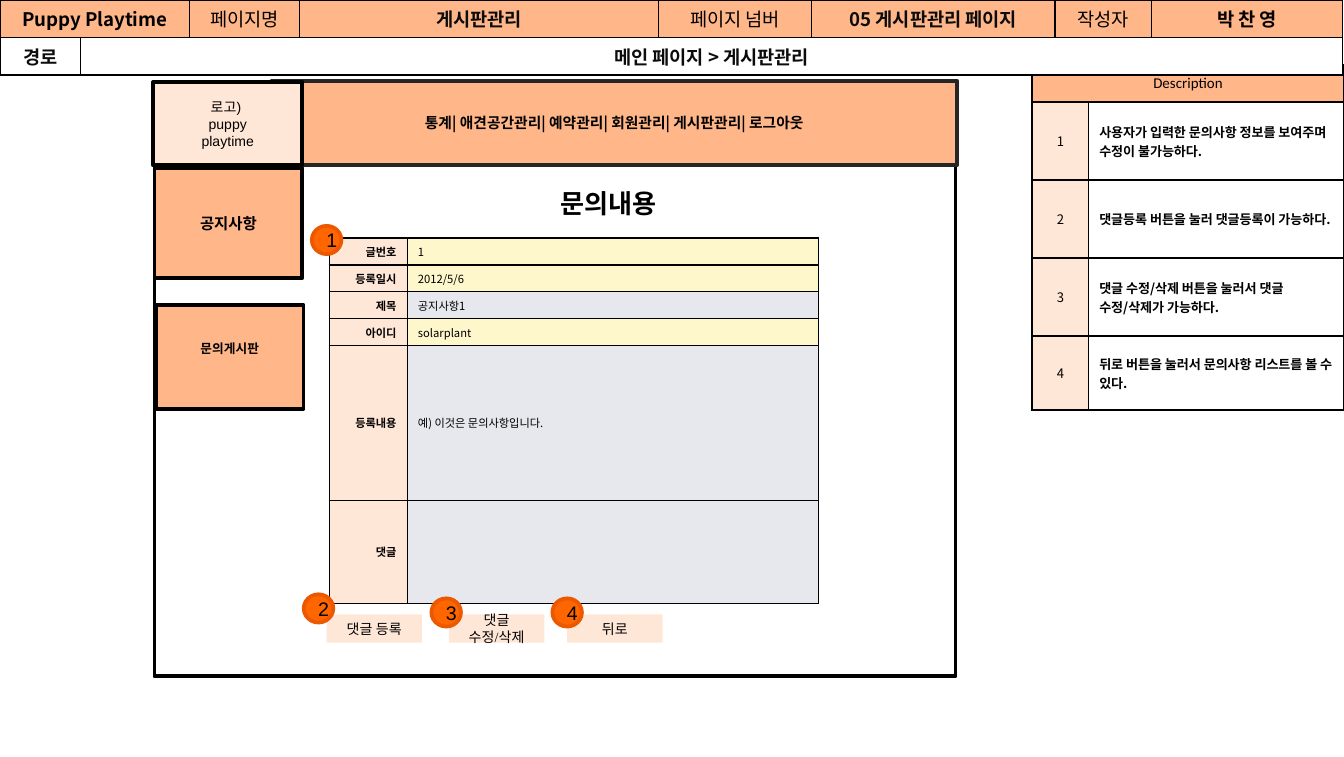
from dataclasses import dataclass
from typing import Optional

from lxml.etree import SubElement
from pptx import Presentation
from pptx.dml.color import RGBColor
from pptx.enum.shapes import MSO_SHAPE
from pptx.enum.text import MSO_ANCHOR, MSO_AUTO_SIZE, PP_ALIGN
from pptx.oxml.ns import qn
from pptx.util import Inches, Pt

COLORS = {
    "black": "000000", "ink": "0C0C0C", "charcoal": "262626", "white": "FFFFFF",
    "orange": "FFB689", "peach": "FFE7D8", "yellow": "FFF7CC", "gray": "E6E8EE",
    "badge": "FF6600", "badge_line": "EB5800",
}
KOREAN = "Noto Sans CJK KR"
LEFT, CENTER, RIGHT = PP_ALIGN.LEFT, PP_ALIGN.CENTER, PP_ALIGN.RIGHT
TOP, MIDDLE = MSO_ANCHOR.TOP, MSO_ANCHOR.MIDDLE


@dataclass
class Cell:
    """Content and look of one table cell."""
    text: str
    fill: str
    bold: bool = False
    align: PP_ALIGN = CENTER
    span: int = 1
    color: str = "black"
    anchor: MSO_ANCHOR = MIDDLE
    font: Optional[str] = None
    size: Optional[float] = None


@dataclass
class Box:
    """A preset shape with centred text."""
    box: tuple
    text: str = ""
    fill: str = "peach"
    line: Optional[str] = None
    size: float = 7.5
    font: str = "Times New Roman"
    bold: bool = False
    kind: MSO_SHAPE = MSO_SHAPE.RECTANGLE
    bottom: float = 0.04


def rgb(name: str) -> RGBColor:
    """Look up a named colour."""
    return RGBColor.from_string(COLORS[name])


def write_text(frame, text: str, *, font: str, size: float, bold: bool = False,
               align: PP_ALIGN = CENTER, color: str = "black") -> None:
    """Write text into a frame, one paragraph per line."""
    frame.text = text
    for paragraph in frame.paragraphs:
        paragraph.alignment = align
        for run in paragraph.runs:
            run.font.name, run.font.size, run.font.bold = font, Pt(size), bold
            run.font.color.rgb = rgb(color)


def add_borders(cell, width: float) -> None:
    """Draw black lines on all four sides of a cell."""
    properties = cell._tc.get_or_add_tcPr()
    for side in ("a:lnL", "a:lnR", "a:lnT", "a:lnB"):
        line = SubElement(properties, qn(side), w=str(Pt(width)))
        fill = SubElement(line, qn("a:solidFill"))
        SubElement(fill, qn("a:srgbClr"), val=COLORS["black"])


def add_grid(slide, left: float, top: float, columns: list, heights: list, rows: list, *,
             size: float, border: float, insets: tuple, font: str = KOREAN) -> None:
    """Add a bordered table from rows of cells."""
    table = slide.shapes.add_table(
        len(heights), len(columns), Inches(left), Inches(top),
        Inches(sum(columns)), Inches(sum(heights))).table
    table.first_row = table.horz_banding = False
    for column, width in zip(table.columns, columns):
        column.width = Inches(width)
    for row, height in zip(table.rows, heights):
        row.height = Inches(height)
    for cell in table.iter_cells():
        add_borders(cell, border)
    for row_index, row in enumerate(rows):
        column_index = 0
        for content in row:
            cell = table.cell(row_index, column_index)
            if content.span > 1:
                cell.merge(table.cell(row_index, column_index + content.span - 1))
            cell.fill.solid()
            cell.fill.fore_color.rgb = rgb(content.fill)
            cell.vertical_anchor = content.anchor
            cell.margin_left = cell.margin_right = Inches(insets[0])
            cell.margin_top = cell.margin_bottom = Inches(insets[1])
            write_text(cell.text_frame, content.text, font=content.font or font,
                       size=content.size or size, bold=content.bold,
                       align=content.align, color=content.color)
            column_index += content.span


def add_box(slide, item: Box) -> None:
    """Add one shape with its fill, line and text."""
    shape = slide.shapes.add_shape(item.kind, *map(Inches, item.box))
    shape.shadow.inherit = False
    shape.fill.solid()
    shape.fill.fore_color.rgb = rgb(item.fill)
    if item.line:
        shape.line.color.rgb = rgb(item.line)
        shape.line.width = Pt(2)
    else:
        shape.line.fill.background()
    if item.text:
        frame = shape.text_frame
        frame.word_wrap = True
        frame.vertical_anchor = MIDDLE
        frame.margin_left = frame.margin_right = Inches(0.08)
        frame.margin_top, frame.margin_bottom = Inches(0.04), Inches(item.bottom)
        write_text(frame, item.text, font=item.font, size=item.size, bold=item.bold)


def add_title(slide, text: str) -> None:
    """Place the title above the other shapes."""
    title = slide.shapes.title
    title.left, title.top, title.width, title.height = map(Inches, (4.07, 1.34, 0.99, 0.34))
    frame = title.text_frame
    write_text(frame, text, font="Calibri", size=14, bold=True, align=LEFT)
    frame.word_wrap = False
    frame.auto_size = MSO_AUTO_SIZE.SHAPE_TO_FIT_TEXT
    frame.vertical_anchor = TOP
    title.element.getparent().append(title.element)


DESCRIPTIONS = [
    "사용자가 입력한 문의사항 정보를 보여주며 수정이 불가능하다.",
    "댓글등록 버튼을 눌러 댓글등록이 가능하다.",
    "댓글 수정/삭제 버튼을 눌러서 댓글 수정/삭제가 가능하다.",
    "뒤로 버튼을 눌러서 문의사항 리스트를 볼 수 있다.",
]
LAYOUT_BOXES = [
    Box((1.15, 1.23, 5.96, 3.8), fill="white", line="black"),
    Box((1.16, 2.27, 1.1, 0.77), "문의게시판", "orange", "black", 6.8, "Arial", True,
        bottom=0.17),
    Box((1.15, 1.25, 1.1, 0.82), "공지사항", "orange", "black", 8.3, KOREAN, True),
    Box((2.02, 0.6, 5.1, 0.63),
        "통계| 애견공간관리| 예약관리| 회원관리| 게시판관리| 로그아웃",
        "orange", "charcoal", 7.9, KOREAN, True),
    Box((1.14, 0.61, 1.11, 0.62), "로고) \npuppy\nplaytime", line="black", font="Arial"),
]
FIELDS = [
    ("글번호", "1", "yellow"),
    ("등록일시", "2012/5/6", "yellow"),
    ("제목", "공지사항1", "gray"),
    ("아이디", "solarplant", "yellow"),
    ("등록내용", "예) 이것은 문의사항입니다.", "gray"),
    ("댓글", "", "gray"),
]
BUTTONS = [(2.43, "댓글 등록"), (3.34, "댓글 수정/삭제"), (4.22, "뒤로")]
BADGES = [(2.32, 1.68), (2.26, 4.42), (3.21, 4.45), (4.11, 4.45)]
HEADER = [
    [Cell("Puppy Playtime", "orange", True, span=2, anchor=TOP),
     Cell("페이지명", "orange", anchor=TOP),
     Cell("게시판관리", "orange", True, color="ink", anchor=TOP),
     Cell("페이지 넘버", "orange", anchor=TOP),
     Cell("05 게시판관리 페이지", "orange", True, color="ink", anchor=TOP),
     Cell("작성자", "orange", anchor=TOP),
     Cell("박 찬 영", "orange", True, anchor=TOP)],
    [Cell("경로", "white", True, color="ink"),
     Cell("메인 페이지 > 게시판관리", "white", True, span=7, color="ink")],
]


def main() -> None:
    """Build and save the slide."""
    presentation = Presentation()
    presentation.slide_width, presentation.slide_height = Inches(10), Inches(5.63)
    slide = presentation.slides.add_slide(presentation.slide_layouts[5])

    description_rows = [[Cell("Description", "orange", span=2, font="Calibri", size=8)]]
    description_rows += [
        [Cell(str(number), "peach"), Cell(text, "white", True, LEFT)]
        for number, text in enumerate(DESCRIPTIONS, 1)]
    add_grid(slide, 7.68, 0.48, [0.42, 1.9], [0.28, 0.58, 0.58, 0.58, 0.55],
             description_rows, size=7, border=1, insets=(0.08, 0.03))

    for item in LAYOUT_BOXES:
        add_box(slide, item)
    field_rows = [[Cell(label, "peach", True, RIGHT), Cell(value, fill, align=LEFT)]
                  for label, value, fill in FIELDS]
    add_grid(slide, 2.45, 1.77, [0.58, 3.06], [0.18] * 4 + [1.15, 0.77], field_rows,
             size=6, border=0.75, insets=(0.08, 0.04))
    for left, label in BUTTONS:
        add_box(slide, Box((left, 4.57, 0.71, 0.21), label))
    for number, (left, top) in enumerate(BADGES, 1):
        add_box(slide, Box((left, top, 0.22, 0.21), str(number), "badge", "badge_line",
                           10.5, "Arial", kind=MSO_SHAPE.OVAL))

    add_grid(slide, 0, 0, [0.6, 0.81, 0.82, 2.67, 1.14, 1.81, 0.72, 1.42], [0.24] * 2,
             HEADER, size=10, border=1, insets=(0.09, 0.04))
    add_title(slide, "문의내용")
    presentation.save("out.pptx")


main()
